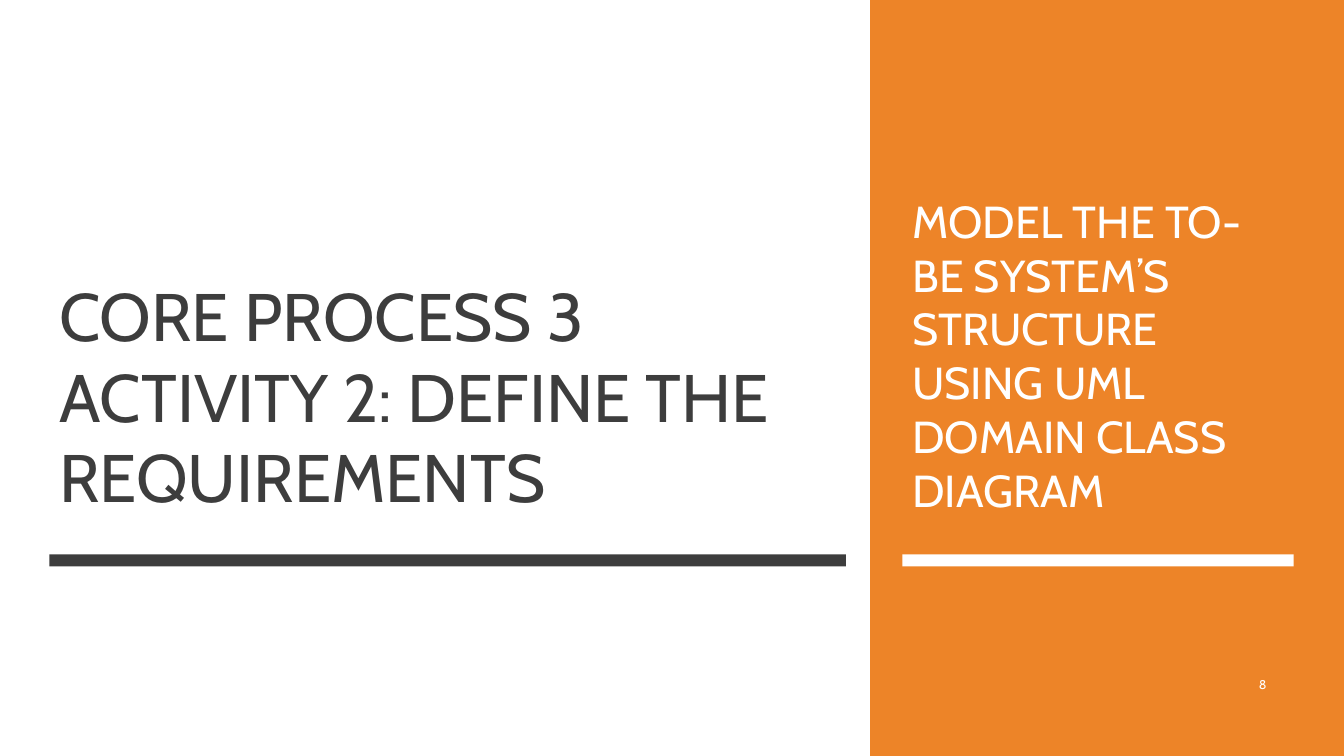
"""Builds a section slide with a heading on the left and a topic panel on the right."""
from pptx import Presentation
from pptx.dml.color import RGBColor
from pptx.enum.shapes import MSO_SHAPE
from pptx.enum.text import MSO_ANCHOR, PP_ALIGN
from pptx.util import Inches, Pt

RECTANGLE = MSO_SHAPE.RECTANGLE
BOTTOM, MIDDLE = MSO_ANCHOR.BOTTOM, MSO_ANCHOR.MIDDLE
LEFT, RIGHT = PP_ALIGN.LEFT, PP_ALIGN.RIGHT
COLORS = {"paper": "FFFFFF", "ink": "3D3D3D", "accent": "ED8428"}
PAGE_WIDTH, PAGE_HEIGHT = 13.33, 7.5
PANEL_LEFT = 8.63
HEADING_LEFT, TOPIC_LEFT = 0.49, 8.95
TOPIC_WIDTH = 3.88
TEXT_TOP, TEXT_HEIGHT = 1.12, 4.05
RULE_TOP, RULE_HEIGHT = 5.5, 0.12


class SlideBuilder:
    """Holds the style and the current slide."""

    def __init__(self, page, font_name):
        self.page = page
        self.font_name = font_name

    def block(self, left, top, width, height, color):
        """Draws a plain filled rectangle."""
        shape = self.page.shapes.add_shape(
            RECTANGLE, Inches(left), Inches(top), Inches(width), Inches(height))
        shape.shadow.inherit = False
        shape.fill.solid()
        shape.fill.fore_color.rgb = RGBColor.from_string(COLORS[color])
        shape.line.fill.background()

    def text(self, words, left, top, width, height, size, color,
             anchor=BOTTOM, align=LEFT):
        """Writes one wrapped paragraph."""
        box = self.page.shapes.add_textbox(
            Inches(left), Inches(top), Inches(width), Inches(height))
        frame = box.text_frame
        frame.word_wrap = True
        frame.vertical_anchor = anchor
        para = frame.paragraphs[0]
        para.alignment = align
        span = para.add_run()
        span.text = words
        formats = {"name": self.font_name, "size": Pt(size)}
        for key, value in formats.items():
            setattr(span.font, key, value)
        span.font.color.rgb = RGBColor.from_string(COLORS[color])


def main():
    """Builds and saves the deck."""
    deck = Presentation()
    deck.slide_width, deck.slide_height = Inches(PAGE_WIDTH), Inches(PAGE_HEIGHT)
    builder = SlideBuilder(deck.slides.add_slide(deck.slide_layouts[6]), "Cabin")

    builder.block(0, 0, PAGE_WIDTH, PAGE_HEIGHT, "paper")
    builder.text("CORE PROCESS 3 ACTIVITY 2: DEFINE THE REQUIREMENTS",
                 HEADING_LEFT, TEXT_TOP, 7.84, TEXT_HEIGHT, 48, "ink")
    builder.block(HEADING_LEFT, RULE_TOP, 7.9, RULE_HEIGHT, "ink")

    builder.block(PANEL_LEFT, 0, PAGE_WIDTH - PANEL_LEFT, PAGE_HEIGHT, "accent")
    builder.text("MODEL THE TO-BE SYSTEM’S STRUCTURE USING UML DOMAIN CLASS DIAGRAM",
                 TOPIC_LEFT, TEXT_TOP, TOPIC_WIDTH, TEXT_HEIGHT, 32, "paper")
    builder.block(TOPIC_LEFT, RULE_TOP, TOPIC_WIDTH, RULE_HEIGHT, "paper")
    builder.text("8", 11.55, 6.59, 1.11, 0.4, 9, "paper", MIDDLE, RIGHT)

    deck.save("out.pptx")


if __name__ == "__main__":
    main()
